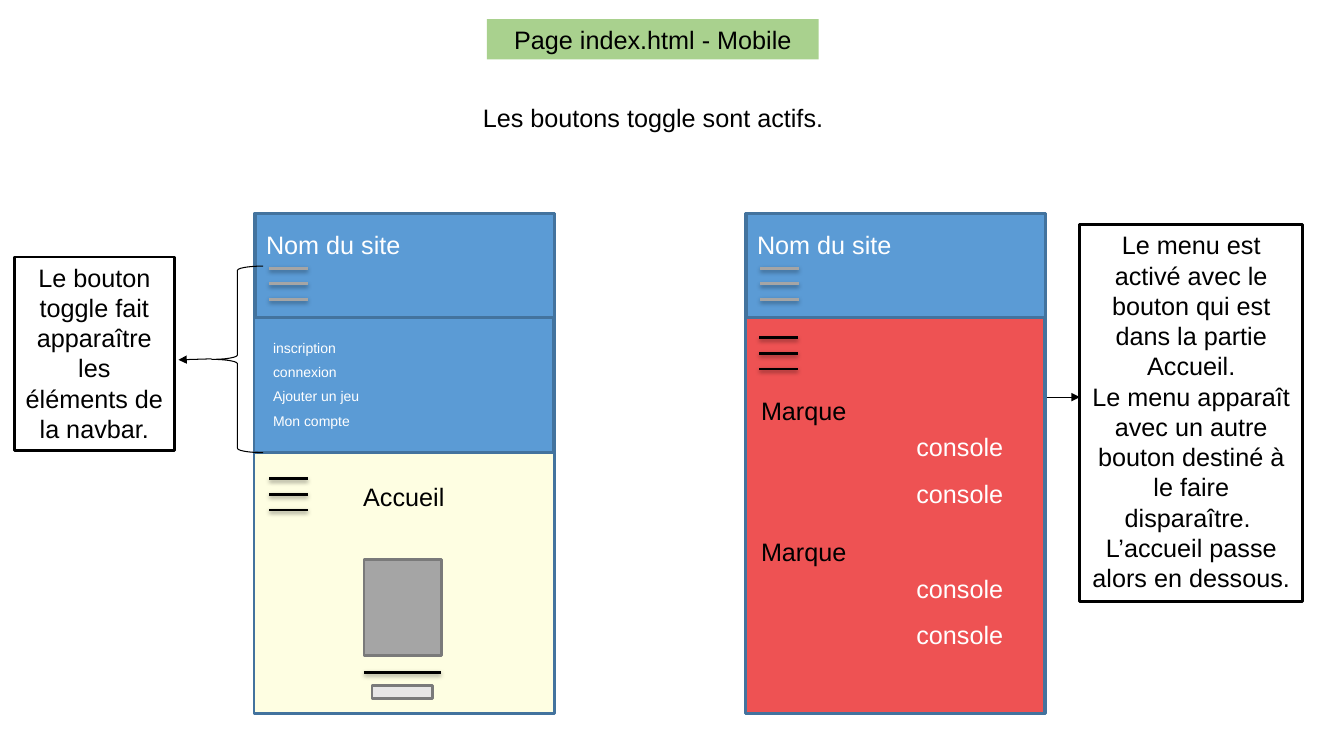
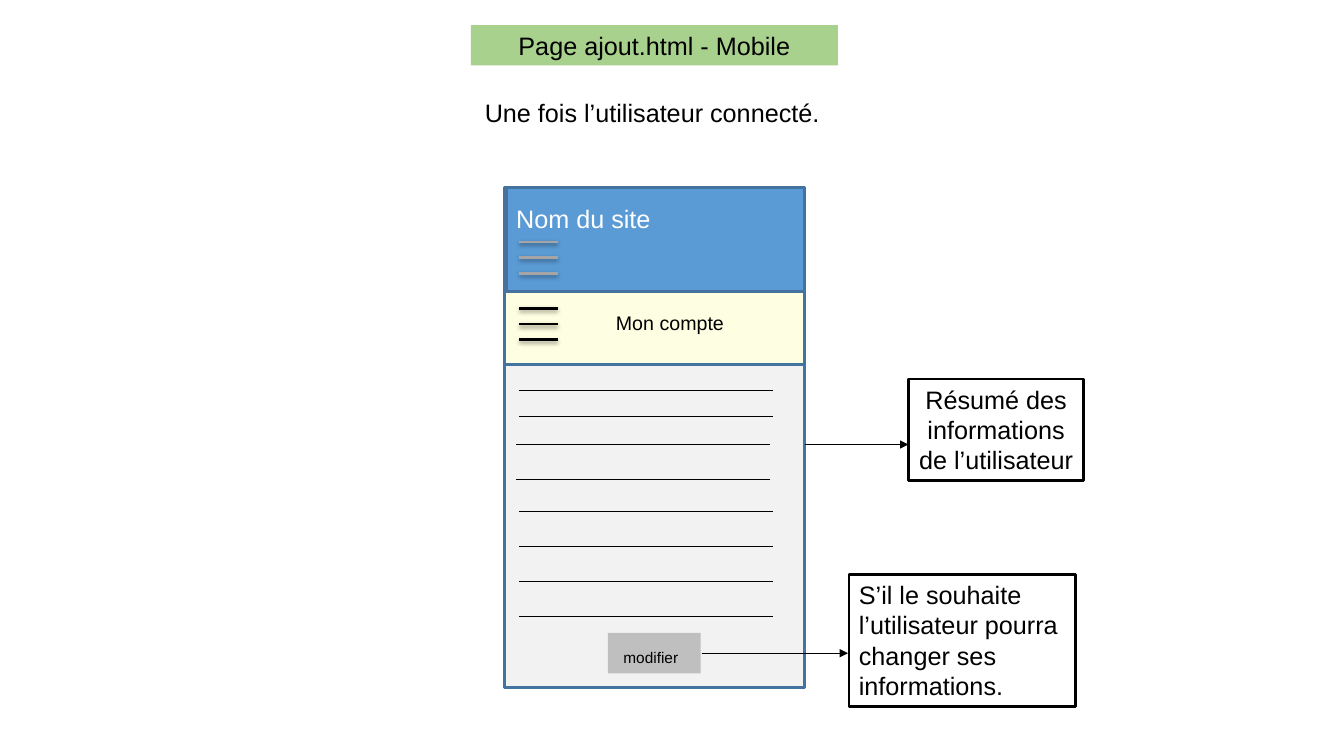
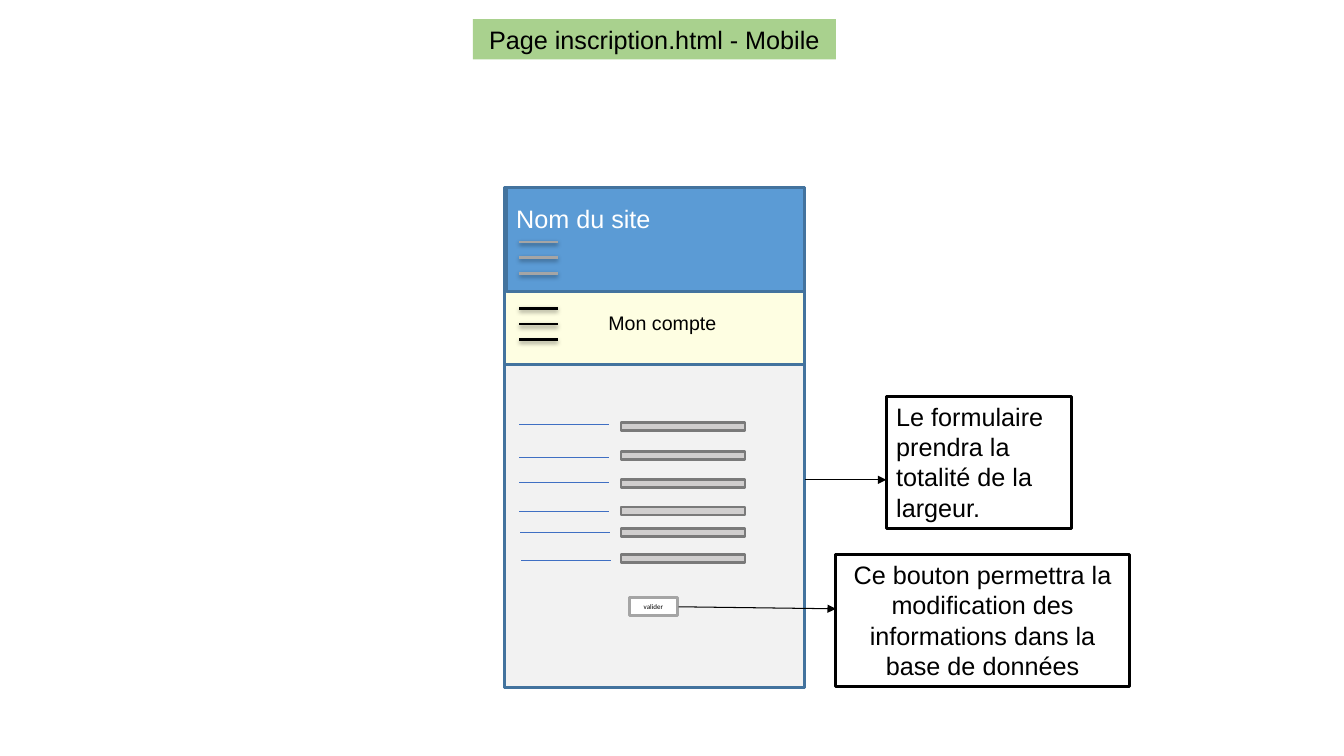
from dataclasses import dataclass

from lxml.etree import SubElement
from pptx import Presentation
from pptx.dml.color import RGBColor
from pptx.enum.shapes import MSO_CONNECTOR as Connector
from pptx.enum.shapes import MSO_SHAPE as Preset
from pptx.enum.text import MSO_ANCHOR as Anchor
from pptx.enum.text import MSO_AUTO_SIZE as AutoSize
from pptx.enum.text import PP_ALIGN as Align
from pptx.oxml.ns import qn
from pptx.shapes.autoshape import Shape
from pptx.slide import Slide
from pptx.util import Inches, Pt

COLOURS = {
    "black": "000000",
    "white": "FFFFFF",
    "title": "A9D18E",
    "header": "5B9BD5",
    "frame": "43739E",
    "cream": "FEFEE2",
    "menu": "EE5253",
    "content": "F2F2F2",
    "grey": "A5A5A5",
    "edge": "7A7A7A",
    "caption": "E7E6E6",
    "field": "D0CECE",
    "button": "BFBFBF",
    "label": "3F6FC3",
}
FRAME_FORMAT = {
    "word_wrap": True,
    "auto_size": AutoSize.SHAPE_TO_FIT_TEXT,
    "vertical_anchor": Anchor.TOP,
}
SHADOW = {"blurRad": Pt(3.1), "dist": Pt(1.6), "dir": 90 * 60000, "rotWithShape": 0}
SHADOW_ALPHA = 38000
PHONE_WIDTH, PHONE_HEIGHT = 2.98, 4.96
HEADER_HEIGHT = 1.03
BURGER_HEIGHT = 0.31

Area = tuple[float, float, float, float]
Point = tuple[float, float]


@dataclass(frozen=True)
class Style:
    size: float = 18
    colour: str = "black"
    align: Align = Align.LEFT
    font: str = "Arial"


CENTRED = Style(align=Align.CENTER)
WHITE = Style(colour="white")
NAV_LINK = Style(10, "white")


@dataclass(frozen=True)
class Label:
    text: str
    area: Area
    style: Style = Style()


@dataclass(frozen=True)
class Note:
    text: str
    area: Area
    start: Point
    end: Point
    align: Align = Align.CENTER


def rgb(name: str) -> RGBColor:
    return RGBColor.from_string(COLOURS[name])


def add_span(para, text: str, style: Style) -> None:
    span = para.add_run()
    span.text = text
    span.font.color.rgb = rgb(style.colour)
    for name, value in {"name": style.font, "size": Pt(style.size)}.items():
        setattr(span.font, name, value)


def write(box: Shape, text: str, style: Style) -> None:
    frame = box.text_frame
    for name, value in FRAME_FORMAT.items():
        setattr(frame, name, value)
    for index, line in enumerate(text.split("\n")):
        para = frame.add_paragraph() if index else frame.paragraphs[0]
        para.alignment = style.align
        add_span(para, line, style)


def add_label(page: Slide, label: Label) -> None:
    box = page.shapes.add_textbox(*map(Inches, label.area))
    write(box, label.text, label.style)


def add_box(
    page: Slide,
    area: Area,
    fill: str | None,
    line: str | None = None,
    width: float = 2,
    preset: Preset = Preset.RECTANGLE,
) -> Shape:
    box = page.shapes.add_shape(preset, *map(Inches, area))
    box.shadow.inherit = False
    if fill:
        box.fill.solid()
        box.fill.fore_color.rgb = rgb(fill)
    else:
        box.fill.background()
    if line:
        box.line.color.rgb = rgb(line)
        box.line.width = Pt(width)
    else:
        box.line.fill.background()
    return box


def add_line(
    page: Slide,
    start: Point,
    end: Point,
    colour: str = "black",
    width: float = 0.75,
    arrow: bool = False,
    shadow: bool = False,
) -> None:
    line = page.shapes.add_connector(Connector.STRAIGHT, *map(Inches, start + end))
    line.line.color.rgb = rgb(colour)
    line.line.width = Pt(width)
    properties = line._element.spPr
    if arrow:
        SubElement(properties.find(qn("a:ln")), qn("a:tailEnd"), type="triangle")
    effects = SubElement(properties, qn("a:effectLst"))
    if shadow:
        values = {name: str(int(value)) for name, value in SHADOW.items()}
        outer = SubElement(effects, qn("a:outerShdw"), values)
        tint = SubElement(outer, qn("a:srgbClr"), val=COLOURS["black"])
        SubElement(tint, qn("a:alpha"), val=str(SHADOW_ALPHA))


def add_rule(page: Slide, left: float, top: float, length: float, colour: str = "black") -> None:
    add_line(page, (left, top), (left + length, top), colour, 2, shadow=True)


def add_burger(page: Slide, left: float, top: float, colour: str = "black") -> None:
    for index in range(3):
        add_rule(page, left, top + index * BURGER_HEIGHT / 2, 0.38, colour)


def add_title(page: Slide, text: str, area: Area) -> None:
    write(add_box(page, area, "title"), text, CENTRED)


def add_phone(page: Slide, left: float, top: float) -> None:
    add_box(page, (left, top, PHONE_WIDTH, PHONE_HEIGHT), "cream", "frame")
    inner = left + 0.02
    add_box(page, (inner, top, PHONE_WIDTH - 0.02, HEADER_HEIGHT), "header", "frame")
    add_label(page, Label("Nom du site", (inner, top + 0.11, 1.59, 0.4), WHITE))
    add_burger(page, left + 0.15, top + 0.54, "grey")


def add_note(page: Slide, note: Note) -> None:
    add_line(page, note.start, note.end, arrow=True)
    box = add_box(page, note.area, "white", "black")
    write(box, note.text, Style(align=note.align))


def add_account_phone(page: Slide, heading_width: float) -> None:
    left, top = 5, 1.86
    add_phone(page, left, top)
    heading = Style(14, align=Align.CENTER)
    add_label(page, Label("Mon compte", (5.75, 3.04, heading_width, 0.34), heading))
    add_burger(page, left + 0.15, 3.06)
    add_box(page, (left, 3.62, PHONE_WIDTH, 3.2), "content", "frame")


def build_index(page: Slide) -> None:
    add_title(page, "Page index.html - Mobile", (4.83, 0.19, 3.29, 0.4))
    add_label(page, Label("Les boutons toggle sont actifs.", (4.69, 0.97, 3.6, 0.4)))

    add_phone(page, 2.52, 2.12)
    add_box(page, (3.61, 5.55, 0.77, 0.95), "grey", "edge")
    add_rule(page, 3.61, 6.67, 0.76)
    add_box(page, (3.69, 6.8, 0.6, 0.13), "caption", "edge")
    add_label(page, Label("Accueil", (3.27, 4.73, 1.47, 0.4), CENTRED))
    add_burger(page, 2.67, 4.75)
    add_box(page, (2.52, 3.15, 2.97, 1.34), "header", "frame")
    links = ("inscription", "connexion", "Ajouter un jeu", "Mon compte")
    for index, link in enumerate(links):
        add_label(page, Label(link, (2.61, 3.32 + index * 0.24, 1.1, 0.27), NAV_LINK))
    add_box(page, (2.1, 2.64, 0.51, 1.85), None, "black", 0.75, Preset.LEFT_BRACE)
    add_note(page, Note(
        "Le bouton toggle fait apparaître les éléments de la navbar.",
        (0.14, 2.55, 1.59, 1.92), (2.1, 3.56), (1.77, 3.57)))

    add_phone(page, 7.39, 2.12)
    add_box(page, (7.4, 3.15, 2.96, 3.93), "menu", "frame")
    add_burger(page, 7.53, 3.35)
    for top in (3.87, 5.27):
        add_label(page, Label("Marque", (7.45, top, 1.24, 0.4)))
    for top in (4.23, 4.7, 5.64, 6.09):
        add_label(page, Label("console", (8.99, top, 1.19, 0.4), WHITE))
    add_note(page, Note(
        "Le menu est activé avec le bouton qui est dans la partie Accueil.\n"
        "Le menu apparaît avec un autre bouton destiné à le faire disparaître. \n"
        "L’accueil passe alors en dessous.",
        (10.71, 2.23, 2.21, 3.74), (10.38, 3.94), (10.71, 3.94)))


def build_ajout(page: Slide) -> None:
    add_title(page, "Page ajout.html - Mobile", (4.67, 0.25, 3.64, 0.4))
    add_label(page, Label("Une fois l’utilisateur connecté.", (4.71, 0.92, 3.56, 0.4)))
    add_account_phone(page, 1.79)
    for top in (3.87, 4.13, 4.41, 4.76, 5.07, 5.42, 5.77, 6.12):
        left = 5.12 if top in (4.41, 4.76) else 5.15
        add_line(page, (left, top), (left + 2.52, top))
    button = add_box(page, (6.03, 6.28, 0.92, 0.4), "button")
    write(button, "modifier", Style(11, align=Align.CENTER))
    add_span(button.text_frame.paragraphs[0], " ", CENTRED)
    add_note(page, Note(
        "Résumé des informations de l’utilisateur",
        (9.01, 3.76, 1.74, 1.01), (7.98, 4.41), (9.01, 4.41)))
    add_note(page, Note(
        "S’il le souhaite l’utilisateur pourra changer ses informations.",
        (8.42, 5.7, 2.25, 1.31), (6.96, 6.48), (8.41, 6.48), Align.LEFT))


def build_inscription(page: Slide) -> None:
    add_title(page, "Page inscription.html - Mobile", (4.69, 0.19, 3.6, 0.4))
    add_account_phone(page, 1.64)
    for top in (4.19, 4.48, 4.76, 5.03, 5.24, 5.5):
        add_box(page, (6.16, top, 1.23, 0.08), "field", "edge")
    label_starts = ((5.15, 4.21), (5.15, 4.54), (5.15, 4.79),
                    (5.15, 5.07), (5.16, 5.28), (5.17, 5.56))
    for left, top in label_starts:
        add_line(page, (left, top), (left + 0.89, top), "label")
    button = add_box(page, (6.24, 5.93, 0.48, 0.18), "white", "grey")
    write(button, "valider", Style(5, align=Align.CENTER, font="Calibri"))
    button.text_frame.vertical_anchor = Anchor.MIDDLE
    add_note(page, Note(
        "Le formulaire prendra la totalité de la largeur.",
        (8.79, 3.93, 1.84, 1.31), (7.98, 4.76), (8.79, 4.76), Align.LEFT))
    add_note(page, Note(
        "Ce bouton permettra la modification des informations dans la base de données",
        (8.29, 5.5, 2.91, 1.31), (6.73, 6.02), (8.29, 6.04)))


def main() -> None:
    deck = Presentation()
    deck.slide_width, deck.slide_height = Inches(13.33), Inches(7.5)
    for build in (build_index, build_ajout, build_inscription):
        build(deck.slides.add_slide(deck.slide_layouts[6]))
    deck.save("out.pptx")


if __name__ == "__main__":
    main()
